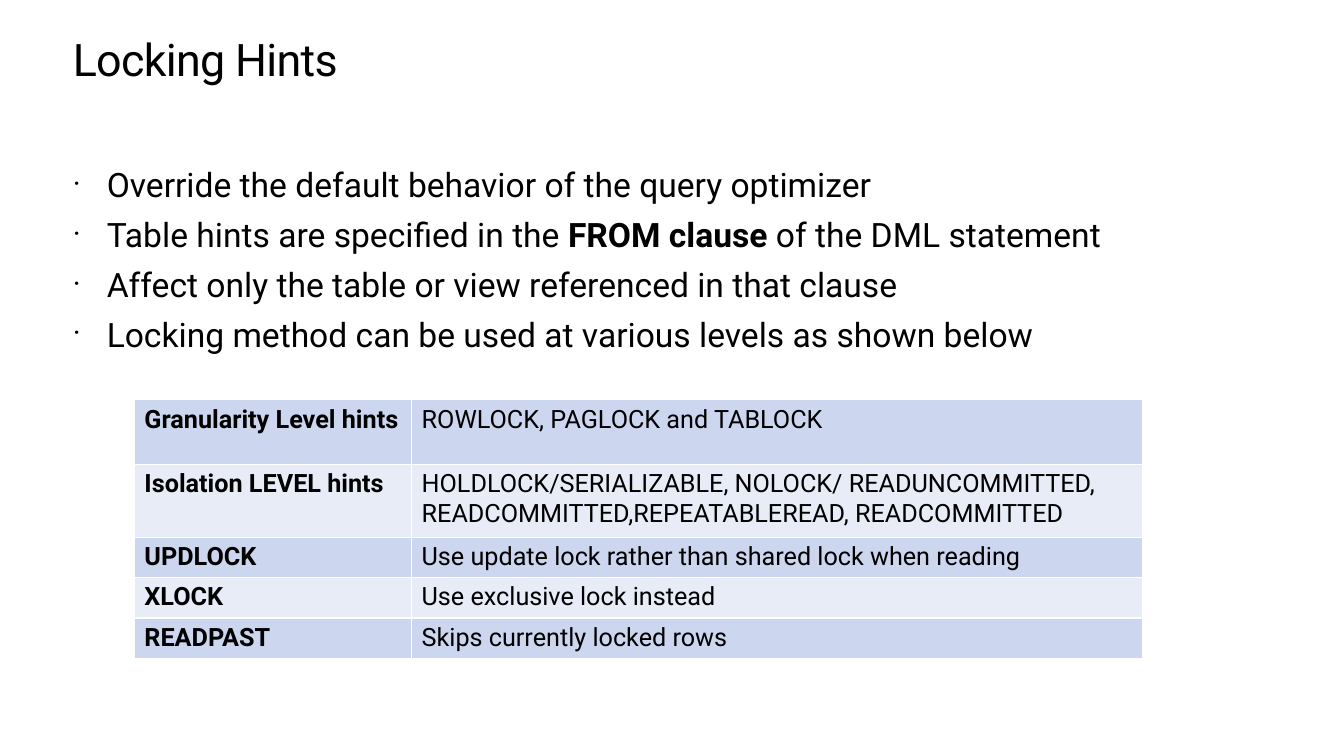
from dataclasses import dataclass

from lxml import etree
from pptx import Presentation
from pptx.dml.color import RGBColor
from pptx.enum import text
from pptx.oxml import ns
from pptx.util import Pt

TITLE = "Locking Hints"
BULLETS = [
    [("Override the default behavior of the query optimizer", False)],
    [("Table hints are specified in the ", False), ("FROM clause ", True),
     ("of the DML statement", False)],
    [("Affect only the table or view referenced in that clause", False)],
    [("Locking method can be used at various levels as shown below", False)],
]
HINTS = [
    ("", "", 29.3),
    ("Granularity Level hints", "ROWLOCK, PAGLOCK and TABLOCK", 46.2),
    ("Isolation LEVEL hints",
     "HOLDLOCK/SERIALIZABLE, NOLOCK/ READUNCOMMITTED,\n"
     "READCOMMITTED,REPEATABLEREAD, READCOMMITTED", 52),
    ("UPDLOCK", "Use update lock rather than shared lock when reading", 28.2),
    ("XLOCK", "Use exclusive lock instead", 28.2),
    ("READPAST", "Skips currently locked rows", 28.2),
]
COLUMN_WIDTHS = (198, 522)
MARGIN, CONTENT_WIDTH = 52, 857
BULLET_INDENT = 24.3


@dataclass(frozen=True)
class Theme:
    font: str = "Roboto"
    ink: str = "000000"
    paper: str = "FFFFFF"
    bands: tuple = ("E7ECF7", "CCD6EF")
    title_size: int = 32
    bullet_size: int = 24
    table_size: int = 18


THEME = Theme()


def format_run(run, size, bold=False):
    run.font.name = THEME.font
    run.font.size = Pt(size)
    run.font.bold = bold
    run.font.color.rgb = RGBColor.from_string(THEME.ink)


def fill_solid(target, color):
    target.fill.solid()
    target.fill.fore_color.rgb = RGBColor.from_string(color)


def add_element(parent, tag, **attributes):
    return etree.SubElement(parent, ns.qn(tag), **attributes)


def remove_insets(frame):
    frame.margin_left = frame.margin_top = frame.margin_right = frame.margin_bottom = 0
    frame.vertical_anchor = text.MSO_ANCHOR.TOP
    frame.word_wrap = True


def add_bullet(paragraph):
    properties = paragraph._p.get_or_add_pPr()
    properties.set("marL", str(Pt(BULLET_INDENT)))
    properties.set("indent", str(-Pt(BULLET_INDENT)))
    color = add_element(properties, "a:buClr")
    add_element(color, "a:srgbClr", val=THEME.ink)
    add_element(properties, "a:buSzPct", val="90000")
    add_element(properties, "a:buFont", typeface=THEME.font)
    add_element(properties, "a:buChar", char="·")


def add_borders(cell):
    properties = cell._tc.get_or_add_tcPr()
    for tag in ("a:lnL", "a:lnR", "a:lnT", "a:lnB"):
        border = add_element(properties, tag, w=str(Pt(1)))
        fill = add_element(border, "a:solidFill")
        add_element(fill, "a:srgbClr", val=THEME.paper)


def build_title(slide):
    title = slide.shapes.title
    title.left, title.top = Pt(MARGIN), Pt(25.2)
    title.width, title.height = Pt(CONTENT_WIDTH), Pt(36)
    fill_solid(title, THEME.paper)
    frame = title.text_frame
    frame.text = TITLE
    remove_insets(frame)
    frame.auto_size = text.MSO_AUTO_SIZE.SHAPE_TO_FIT_TEXT
    paragraph = frame.paragraphs[0]
    paragraph.alignment = text.PP_ALIGN.LEFT
    paragraph.line_spacing = Pt(36.2)
    run = paragraph.runs[0]
    format_run(run, THEME.title_size)
    run.font._element.set("spc", "-50")


def build_bullets(slide):
    box = slide.shapes.add_textbox(Pt(MARGIN), Pt(117.4), Pt(CONTENT_WIDTH), Pt(373))
    frame = box.text_frame
    remove_insets(frame)
    for index, parts in enumerate(BULLETS):
        paragraph = frame.add_paragraph() if index else frame.paragraphs[0]
        paragraph.space_before = Pt(6.7)
        add_bullet(paragraph)
        for words, bold in parts:
            run = paragraph.add_run()
            run.text = words
            format_run(run, THEME.bullet_size, bold)


def build_table(slide):
    height = sum(row[-1] for row in HINTS)
    table = slide.shapes.add_table(
        len(HINTS), len(COLUMN_WIDTHS), Pt(96), Pt(256.3),
        Pt(sum(COLUMN_WIDTHS)), Pt(height)).table
    for column, width in zip(table.columns, COLUMN_WIDTHS):
        column.width = Pt(width)
    for row_index, (*words, row_height) in enumerate(HINTS):
        table.rows[row_index].height = Pt(row_height)
        color = THEME.bands[row_index % 2] if row_index else THEME.paper
        for column_index, content in enumerate(words):
            cell = table.cell(row_index, column_index)
            add_borders(cell)
            fill_solid(cell, color)
            if not content:
                continue
            cell.text_frame.text = content
            for paragraph in cell.text_frame.paragraphs:
                format_run(paragraph.runs[0], THEME.table_size, column_index == 0)


def main():
    presentation = Presentation()
    presentation.slide_width, presentation.slide_height = Pt(960), Pt(540)
    slide = presentation.slides.add_slide(presentation.slide_layouts[5])
    build_bullets(slide)
    build_table(slide)
    build_title(slide)
    presentation.save("out.pptx")


if __name__ == "__main__":
    main()
